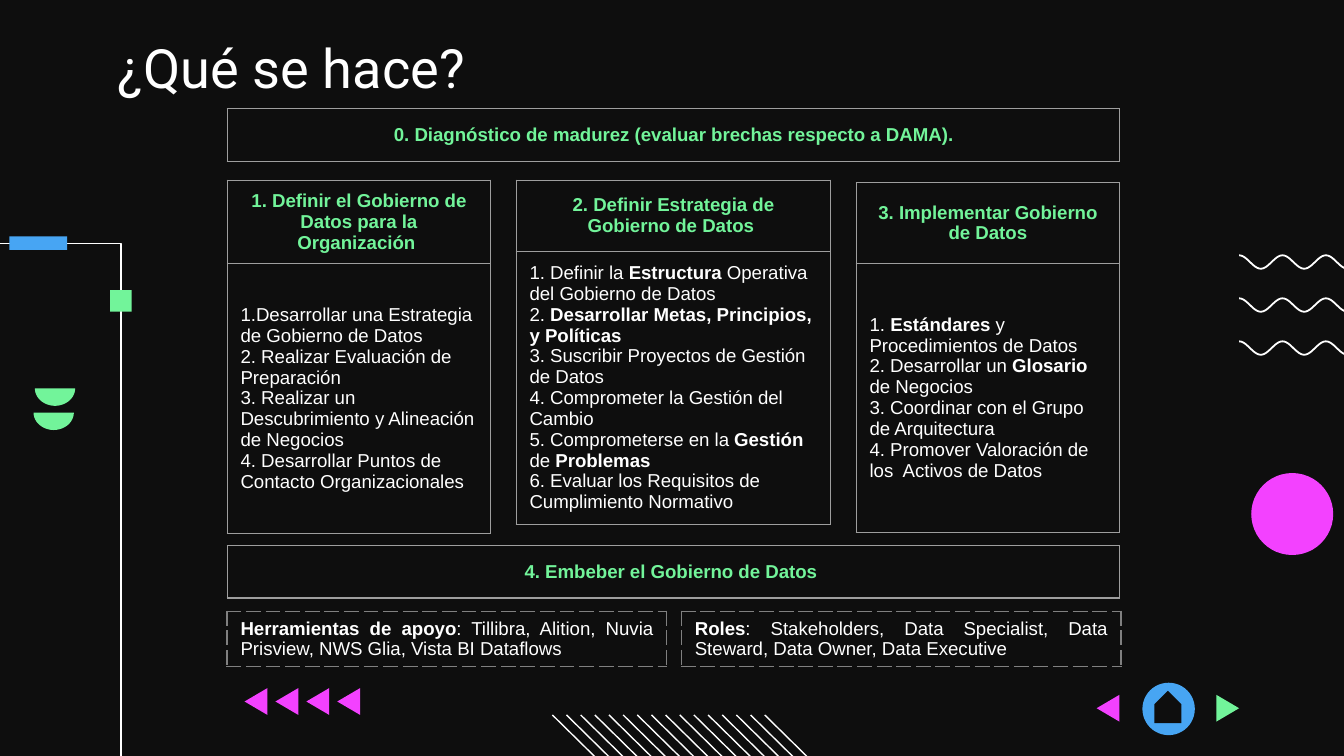
from math import cos, pi, sin

from lxml import etree
from pptx import Presentation
from pptx.dml.color import RGBColor
from pptx.enum.shapes import MSO_CONNECTOR as LINK, MSO_SHAPE as FORM
from pptx.enum.text import MSO_ANCHOR as ANCHOR, PP_ALIGN as ALIGN
from pptx.oxml import parse_xml
from pptx.oxml.ns import nsdecls, qn
from pptx.util import Inches, Pt

BLACK = RGBColor(0x0E, 0x0E, 0x0E)
WHITE = RGBColor(0xFF, 0xFF, 0xFF)
GREEN = RGBColor(0x72, 0xF4, 0x9A)
BLUE = RGBColor(0x47, 0xA5, 0xF3)
PINK = RGBColor(0xF3, 0x41, 0xFF)
SOLID = ("9E9E9E", 0.75, "solid")
DASH = ("808080", 1, "sysDash")

deck = Presentation()
deck.slide_width = Inches(10)
deck.slide_height = Inches(10) * 9 // 16
slide = deck.slides.add_slide(deck.slide_layouts[6])
slide.background.fill.solid()
slide.background.fill.fore_color.rgb = BLACK
shapes = slide.shapes


def draw(points, fill=None, width=0.75):
    """Draw a closed filled outline, or an open white line without fill."""
    first, *rest = [(Inches(x), Inches(y)) for x, y in points]
    pen = shapes.build_freeform(*first)
    pen.add_line_segments(rest, close=fill is not None)
    shape = pen.convert_to_shape()
    shape.shadow.inherit = False
    if fill is None:
        shape.fill.background()
        shape.line.color.rgb = WHITE
        shape.line.width = Pt(width)
    else:
        shape.fill.solid()
        shape.fill.fore_color.rgb = fill
        shape.line.fill.background()


def grid(x, y, w, rows, border=SOLID):
    """Add a one-column table; rows are (height, align, color, texts), *bold* in stars."""
    high = sum(row[0] for row in rows)
    table = shapes.add_table(len(rows), 1, Inches(x), Inches(y), Inches(w), Inches(high)).table
    table.first_row = table.horz_banding = False
    tint, width, dash = border
    for i, (high, align, color, texts) in enumerate(rows):
        table.rows[i].height = Inches(high)
        cell = table.cell(i, 0)
        cell.vertical_anchor = ANCHOR.MIDDLE
        cell.margin_top = cell.margin_bottom = Inches(0.01)
        props = cell._tc.get_or_add_tcPr()
        for side in "LRTB":
            props.append(parse_xml(
                f'<a:ln{side} {nsdecls("a")} w="{Pt(width)}"><a:solidFill>'
                f'<a:srgbClr val="{tint}"/></a:solidFill>'
                f'<a:prstDash val="{dash}"/></a:ln{side}>'))
        cell.fill.background()
        frame = cell.text_frame
        for j, text in enumerate(texts):
            para = frame.add_paragraph() if j else frame.paragraphs[0]
            para.alignment = align
            for k, part in enumerate(text.split("*")):
                if not part:
                    continue
                run = para.add_run()
                run.text = part
                run.font.name, run.font.size = "Arial", Pt(10)
                run.font.bold = k % 2 == 1
                run.font.color.rgb = color


# Frame line on the left with its markers
draw([(0.9, 6.13), (0.9, 1.81), (-2.49, 1.81)])
for form, x, y, w, h, color in [
    (FORM.RECTANGLE, 0.82, 2.16, 0.16, 0.16, GREEN),
    (FORM.RECTANGLE, 0.07, 1.76, 0.43, 0.1, BLUE),
    (FORM.OVAL, 9.31, 3.52, 0.61, 0.61, PINK),
    (FORM.OVAL, 8.5, 5.08, 0.39, 0.39, BLUE),
    (FORM.PENTAGON, 8.57, 5.16, 0.24, 0.2, BLACK),
]:
    mark = shapes.add_shape(form, Inches(x), Inches(y), Inches(w), Inches(h))
    mark.shadow.inherit = False
    mark.fill.solid()
    mark.fill.fore_color.rgb = color
    mark.line.fill.background()
    if form == FORM.PENTAGON:
        mark.rotation = 270

# Triangles: base x, tip x, top, color
heads = [(1.99 + 0.23 * i, 1.82 + 0.23 * i, 5.12, PINK) for i in range(4)]
heads += [(8.33, 8.16, 5.17, PINK), (9.05, 9.22, 5.17, GREEN)]
for base, tip, top, color in heads:
    draw([(base, top), (tip, top + 0.1), (base, top + 0.2)], color)

# Half discs
for x, y in [(0.4, 3.07), (0.41, 2.89)]:
    draw([(x + 0.15 * cos(pi * i / 24), y + 0.13 * sin(pi * i / 24))
          for i in range(25)], GREEN)

# Slanted stripes
for i in range(16):
    x = 4.11 + 1.58 * i / 15
    stripe = shapes.add_connector(
        LINK.STRAIGHT, Inches(x), Inches(5.32), Inches(x + 0.57), Inches(5.88))
    stripe.line.color.rgb = WHITE
    stripe.line.width = Pt(0.75)
    etree.SubElement(stripe._element.spPr, qn("a:effectLst"))

# Waves: seven half periods each
for row in range(3):
    top = 1.9 + 0.32 * row
    draw([(9.22 + 1.13 * i / 84, top + 0.05 * (1 - cos(pi * i / 12)))
          for i in range(85)], width=0.95)

title = shapes.add_textbox(Inches(0.78), Inches(0.26), Inches(8.44), Inches(0.46))
frame = title.text_frame
frame.word_wrap = True
frame.margin_top = 0
frame.margin_bottom = Inches(0.1)
run = frame.paragraphs[0].add_run()
run.text = "¿Qué se hace?"
run.font.name, run.font.size = "Roboto", Pt(29)
run.font.color.rgb = WHITE

# Three steps: left, top, width, head height, body height, head, body
steps = [
    (1.69, 1.34, 1.96, 0.62, 2.01, "1. Definir el Gobierno de Datos para la Organización ", [
        "1.Desarrollar una Estrategia de Gobierno de Datos",
        "2. Realizar Evaluación de Preparación",
        "3. Realizar un Descubrimiento y Alineación de Negocios",
        "4. Desarrollar Puntos de Contacto Organizacionales"]),
    (3.84, 1.34, 2.34, 0.53, 2.03, "2. Definir Estrategia de Gobierno de Datos ", [
        "1. Definir la *Estructura* Operativa del Gobierno de Datos",
        "2. *Desarrollar Metas, Principios, y Políticas*",
        "3. Suscribir Proyectos de Gestión de Datos",
        "4. Comprometer la Gestión del Cambio",
        "5. Comprometerse en la *Gestión* de *Problemas*",
        "6. Evaluar los Requisitos de Cumplimiento Normativo"]),
    (6.37, 1.36, 1.96, 0.6, 2, "3. Implementar Gobierno de Datos", [
        "1. *Estándares* y Procedimientos de Datos",
        "2. Desarrollar un *Glosario* de Negocios",
        "3. Coordinar con el Grupo de Arquitectura",
        "4. Promover Valoración de los  Activos de Datos"]),
]
for x, y, w, top, low, head, body in steps:
    grid(x, y, w, [(top, ALIGN.CENTER, GREEN, [f"*{head}*"]),
                   (low, ALIGN.LEFT, WHITE, body)])

for y, text in [
    (0.81, "*0. Diagnóstico de madurez (evaluar brechas respecto a DAMA).*"),
    (4.06, "*4. Embeber el Gobierno de Datos *"),
]:
    grid(1.69, y, 6.64, [(0.39, ALIGN.CENTER, GREEN, [text])])

for x, text in [
    (1.69, "*Herramientas de apoyo*: Tillibra, Alition, Nuvia "
           "Prisview, NWS Glia, Vista BI Dataflows"),
    (5.07, "*Roles*: Stakeholders, Data Specialist, Data Steward, "
           "Data Owner, Data Executive"),
]:
    grid(x, 4.55, 3.27, [(0.41, ALIGN.JUSTIFY, WHITE, [text])], DASH)

deck.save("out.pptx")
